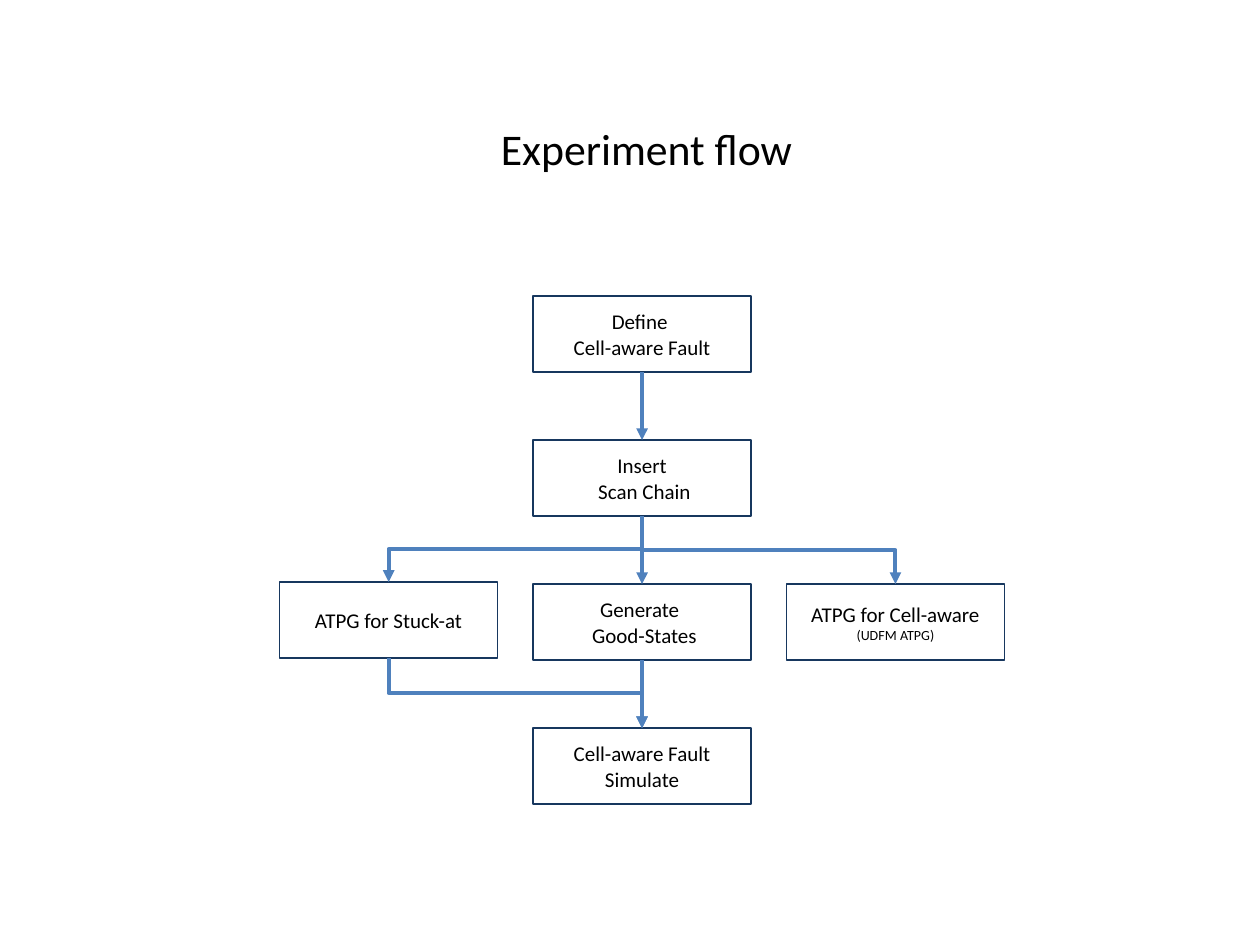
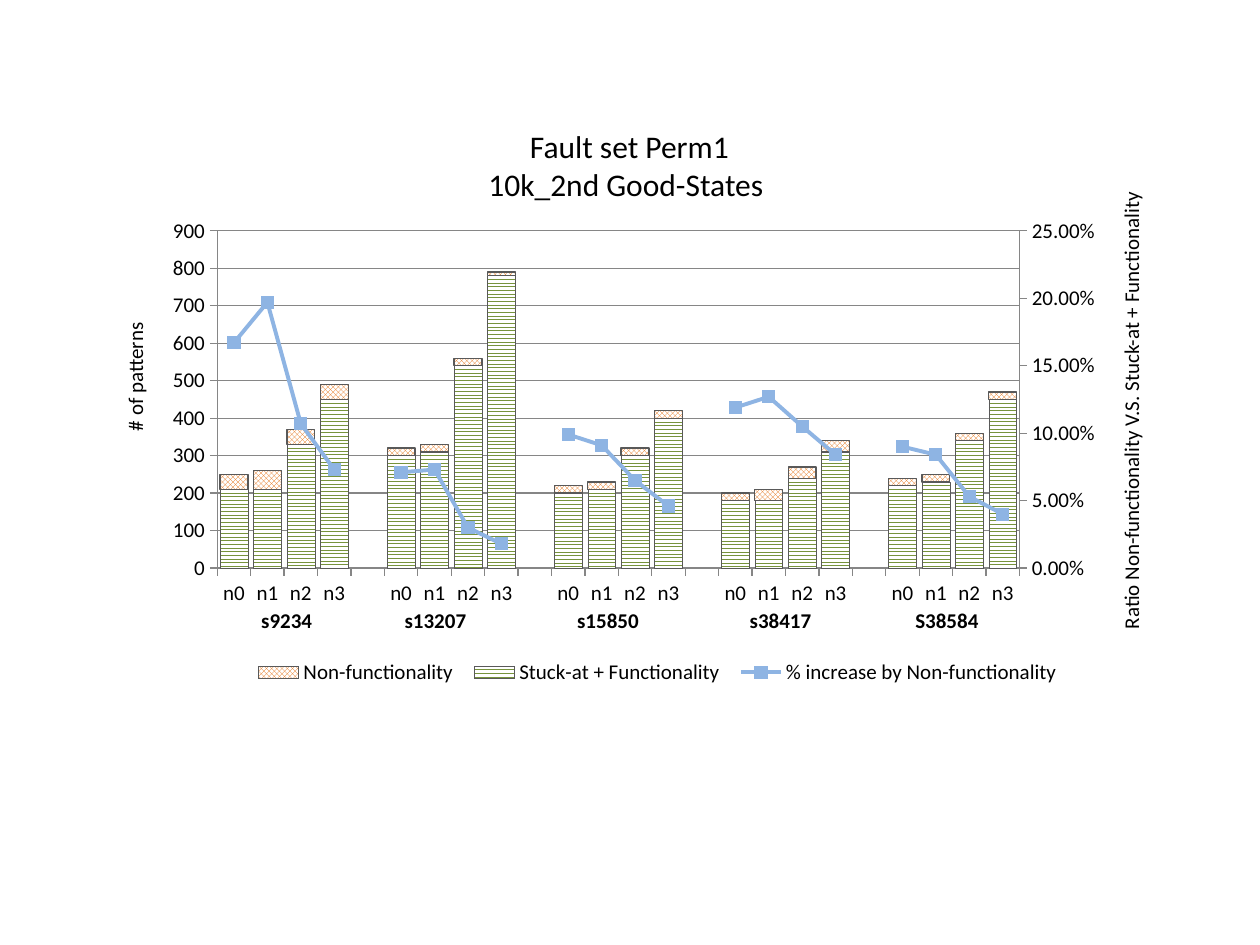
from lxml import etree
from pptx import Presentation
from pptx.chart.data import CategoryChartData
from pptx.dml.color import RGBColor
from pptx.enum import chart as ch, dml, shapes, text
from pptx.oxml.ns import nsdecls, qn
from pptx.oxml import parse_xml
from pptx.util import Pt

BLACK, WHITE, NAVY, BLUE = "000000", "FFFFFF", "17375E", "4F81BD"
GREEN, ORANGE, SKY, MID_BLUE = "77933C", "E46C0A", "8EB4E3", "558ED5"
GREY, DARK_GREY = "868686", "595959"
TOP, BOTTOM = 0, 2


def rgb(value):
    return RGBColor.from_string(value)


def layout_xml(x, y, w, h, target=""):
    """Manual chart layout, in fractions of the chart area."""
    return parse_xml(
        f'<c:layout {nsdecls("c")}><c:manualLayout>{target}'
        '<c:xMode val="edge"/><c:yMode val="edge"/>'
        f'<c:x val="{x}"/><c:y val="{y}"/><c:w val="{w}"/><c:h val="{h}"/>'
        '</c:manualLayout></c:layout>')


class Deck:
    font = "Calibri"

    def __init__(self):
        self.prs = Presentation()
        self.prs.slide_width, self.prs.slide_height = Pt(720), Pt(540)

    def new_slide(self):
        self.s = self.prs.slides.add_slide(self.prs.slide_layouts[5])

    def set_text(self, tf, content, size, bold=False):
        tf.word_wrap = True
        tf.text = content
        for p in tf.paragraphs:
            p.alignment = text.PP_ALIGN.CENTER
            for r in p.runs:
                f = r.font
                f.name, f.size, f.bold = self.font, Pt(size), bold
                f.color.rgb = rgb(BLACK)

    def title(self, content, x, y, w, h, size, anchor):
        sp = self.s.shapes.title
        sp.left, sp.top, sp.width, sp.height = Pt(x), Pt(y), Pt(w), Pt(h)
        self.set_text(sp.text_frame, content, size)
        sp.text_frame.auto_size = text.MSO_AUTO_SIZE.NONE
        sp.text_frame.vertical_anchor = anchor
        self.s.shapes._spTree.append(sp._element)  # bring to front

    def label(self, content, x, y, w, h=21.6, bold=False, rotation=0):
        sp = self.s.shapes.add_textbox(Pt(x), Pt(y), Pt(w), Pt(h))
        self.set_text(sp.text_frame, content, 12, bold)
        sp.rotation = rotation

    def box(self, content, x, y, w, h):
        sp = self.s.shapes.add_shape(shapes.MSO_SHAPE.RECTANGLE, Pt(x), Pt(y), Pt(w), Pt(h))
        sp.shadow.inherit = False
        sp.fill.solid()
        sp.fill.fore_color.rgb = rgb(WHITE)
        sp.line.color.rgb = rgb(NAVY)
        sp.line.width = Pt(1)
        self.set_text(sp.text_frame, content, 12)
        sp.text_frame.vertical_anchor = text.MSO_ANCHOR.MIDDLE
        return sp

    def style_arrow(self, cxn, width):
        cxn.line.color.rgb = rgb(BLUE)
        cxn.line.width = Pt(width)
        etree.SubElement(cxn.line._get_or_add_ln(), qn("a:tailEnd"), type="triangle")
        etree.SubElement(cxn._element.spPr, qn("a:effectLst"))

    def arrow(self, start, end):
        cxn = self.s.shapes.add_connector(shapes.MSO_CONNECTOR.STRAIGHT, 0, 0, 0, 0)
        cxn.begin_connect(start, BOTTOM)
        cxn.end_connect(end, TOP)
        self.style_arrow(cxn, 2.25)

    def elbow(self, start, end):
        """Down, across and down again: a quarter-turned elbow connector."""
        x1, y1 = start.left + start.width // 2, start.top + start.height
        x2, y2 = end.left + end.width // 2, end.top
        cx, cy = (x1 + x2) // 2, (y1 + y2) // 2
        half_w, half_h = (y2 - y1) // 2, abs(x2 - x1) // 2
        cxn = self.s.shapes.add_connector(
            shapes.MSO_CONNECTOR.ELBOW, cx - half_w, cy - half_h, cx + half_w, cy + half_h)
        xfrm = cxn._element.spPr.find(qn("a:xfrm"))
        if x2 > x1:
            xfrm.set("rot", "16200000")
            xfrm.set("flipH", "1")
        else:
            xfrm.set("rot", "5400000")
        self.style_arrow(cxn, 2.25)

    def stacked_chart(self, cats, series, x, y, w, h):
        data = CategoryChartData()
        data.categories = cats
        for name, values in series:
            data.add_series(name, values)
        chart = self.s.shapes.add_chart(
            ch.XL_CHART_TYPE.COLUMN_STACKED, Pt(x), Pt(y), Pt(w), Pt(h), data).chart
        chart.has_title = False
        chart.font.name, chart.font.size = self.font, Pt(12)
        chart.font.color.rgb = rgb(BLACK)
        return chart

    def axis(self, axis):
        axis.format.line.color.rgb = rgb(GREY)
        axis.format.line.width = Pt(0.75)
        axis.major_tick_mark = ch.XL_TICK_MARK.OUTSIDE
        axis.minor_tick_mark = ch.XL_TICK_MARK.NONE

    def pattern_bars(self, series, pattern, color, line_width):
        fill = series.format.fill
        fill.patterned()
        fill.pattern = pattern
        fill.fore_color.rgb, fill.back_color.rgb = rgb(color), rgb(WHITE)
        series.format.line.color.rgb = rgb(DARK_GREY)
        series.format.line.width = Pt(line_width)

    def last_series_to_line(self, chart, top, unit):
        """Move the last series to a line plot on a right-hand percentage axis."""
        bars = chart._chartSpace.find(".//" + qn("c:barChart"))
        ser = bars.findall(qn("c:ser"))[-1]
        for el in ser.findall(qn("c:invertIfNegative")):
            ser.remove(el)
        line = parse_xml(
            f'<c:lineChart {nsdecls("c")}><c:grouping val="standard"/><c:varyColors val="0"/>'
            '<c:marker val="1"/><c:axId val="5001"/><c:axId val="5002"/></c:lineChart>')
        line.insert(2, ser)
        bars.addnext(line)
        cat_ax = parse_xml(
            f'<c:catAx {nsdecls("c")}><c:axId val="5001"/>'
            '<c:scaling><c:orientation val="minMax"/></c:scaling><c:delete val="1"/>'
            '<c:axPos val="b"/><c:crossAx val="5002"/><c:crosses val="autoZero"/></c:catAx>')
        val_ax = parse_xml(
            f'<c:valAx {nsdecls("c", "a")}><c:axId val="5002"/><c:scaling>'
            f'<c:orientation val="minMax"/><c:max val="{top}"/><c:min val="0"/></c:scaling>'
            '<c:delete val="0"/><c:axPos val="r"/>'
            '<c:numFmt formatCode="0.00%" sourceLinked="0"/><c:majorTickMark val="out"/>'
            '<c:minorTickMark val="none"/><c:tickLblPos val="nextTo"/><c:spPr>'
            f'<a:ln w="9525"><a:solidFill><a:srgbClr val="{GREY}"/></a:solidFill></a:ln></c:spPr>'
            '<c:crossAx val="5001"/><c:crosses val="max"/><c:crossBetween val="between"/>'
            f'<c:majorUnit val="{unit}"/></c:valAx>')
        last_axis = chart.value_axis._element
        last_axis.addnext(cat_ax)
        cat_ax.addnext(val_ax)
        return chart.plots[1].series[0]


def flow_slide(deck):
    deck.new_slide()
    # Boxes on a grid of columns and rows
    w, h = 124.6, 43.4
    left, middle, right = (159.8 + 144.8 * i for i in range(3))
    rows = [169.2 + 82.3 * i for i in range(4)]
    define = deck.box("Define \nCell-aware Fault", middle, rows[0], w, h)
    insert = deck.box("Insert\n Scan Chain", middle, rows[1], w, h)
    stuck_at = deck.box("ATPG for Stuck-at", left, rows[2] - 1.2, w, h)
    generate = deck.box("Generate \n Good-States", middle, rows[2], w, h)
    cell_aware = deck.box("ATPG for Cell-aware\n(UDFM ATPG)", right, rows[2], w, h)
    cell_aware.text_frame.paragraphs[1].runs[0].font.size = Pt(8)
    simulate = deck.box("Cell-aware Fault Simulate", middle, rows[3], w, h)

    # Arrows
    for start, end in ((define, insert), (insert, generate), (generate, simulate)):
        deck.arrow(start, end)
    for start, end in ((insert, stuck_at), (insert, cell_aware), (stuck_at, simulate)):
        deck.elbow(start, end)

    deck.title("Experiment flow", 45.4, 39.6, 648, 90, 25, text.MSO_ANCHOR.MIDDLE)


def chart_slide(deck):
    deck.new_slide()
    # Data: one group of n0 to n3 per circuit, with a gap between groups
    circuits = [  # label, label left, stuck-at, non-functionality, increase
        ("s9234", 129.6, [210, 210, 330, 450], [40, 50, 40, 40], [0.167, 0.197, 0.107, 0.073]),
        ("s13207", 214.6, [300, 310, 540, 780], [20, 20, 20, 10], [0.071, 0.073, 0.03, 0.018]),
        ("s15850", 313.2, [200, 210, 300, 400], [20, 20, 20, 20], [0.099, 0.091, 0.065, 0.046]),
        ("s38417", 411.8, [180, 180, 240, 310], [20, 30, 30, 30], [0.119, 0.127, 0.105, 0.084]),
        ("S38584", 506.9, [220, 230, 340, 450], [20, 20, 20, 20], [0.09, 0.084, 0.053, 0.04]),
    ]

    def with_gaps(groups, gap):
        return [v for g in groups for v in [*g, gap]][:-1]

    cats = with_gaps([["n0", "n1", "n2", "n3"]] * len(circuits), "")
    names = ["Stuck-at + Functionality", "Non-functionality", "% increase by Non-functionality"]
    series = [(name, with_gaps([c[i] for c in circuits], None))
              for i, name in enumerate(names, 2)]
    chart = deck.stacked_chart(cats, series, 59.8, 77, 569.5, 326.9)

    # Axes
    deck.axis(chart.category_axis)
    val = chart.value_axis
    deck.axis(val)
    val.minimum_scale, val.maximum_scale, val.major_unit = 0, 900, 100
    val.has_major_gridlines = True
    val.major_gridlines.format.line.color.rgb = rgb(GREY)
    val.major_gridlines.format.line.width = Pt(0.75)

    # Columns
    bars = chart.plots[0]
    bars.gap_width, bars.overlap, bars.vary_by_categories = 20, 100, False
    deck.pattern_bars(bars.series[0], dml.MSO_PATTERN.ZIG_ZAG, GREEN, 0.25)
    deck.pattern_bars(bars.series[1], dml.MSO_PATTERN.TRELLIS, ORANGE, 0.75)

    # Line on the right axis
    increase = deck.last_series_to_line(chart, 0.25, 0.05)
    increase.smooth = False
    increase.format.line.color.rgb = rgb(SKY)
    increase.format.line.width = Pt(2.25)
    marker = increase.marker
    marker.style, marker.size = ch.XL_MARKER_STYLE.SQUARE, 7
    marker.format.fill.solid()
    marker.format.fill.fore_color.rgb = rgb(MID_BLUE)

    # Plot area and legend places
    area = chart._chartSpace.find(".//" + qn("c:plotArea"))
    for el in area.findall(qn("c:layout")):
        area.remove(el)
    area.insert(0, layout_xml(0.113, 0.168, 0.805, 0.59, '<c:layoutTarget val="inner"/>'))
    chart.has_legend = True
    legend = chart.legend
    legend.position = ch.XL_LEGEND_POSITION.RIGHT
    legend.include_in_layout = False
    for el in legend._element.findall(qn("c:layout")):
        legend._element.remove(el)
    legend._element.find(qn("c:legendPos")).addnext(layout_xml(0.14, 0.91, 0.83, 0.06))

    # Circuit names, axis titles and heading
    for name, x, *_ in circuits:
        deck.label(name, x, 343.4, 68.4, bold=True)
    deck.label("# of patterns", 13, 204.5, 128.2, rotation=270)
    deck.label("Ratio Non-functionality V.S. Stuck-at + Functionality ",
               493.2, 222.5, 306, rotation=270)
    deck.title("Fault set Perm1\n10k_2nd Good-States ", 265, 69.1, 189.4, 51.1, 18,
               text.MSO_ANCHOR.TOP)


def main():
    deck = Deck()
    flow_slide(deck)
    chart_slide(deck)
    deck.prs.save("out.pptx")


if __name__ == "__main__":
    main()
